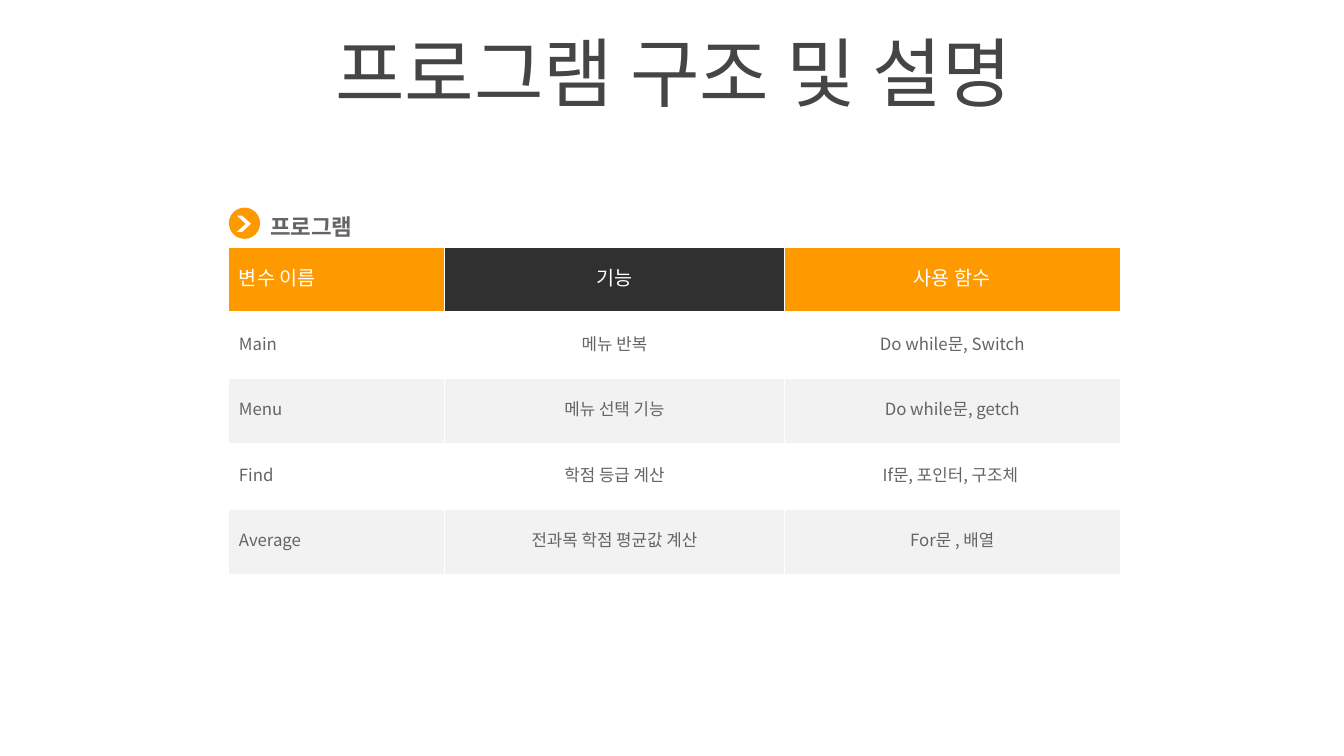
from dataclasses import dataclass

from lxml.etree import SubElement
from pptx import Presentation
from pptx.dml.color import RGBColor
from pptx.enum.shapes import MSO_SHAPE
from pptx.enum.text import MSO_ANCHOR, MSO_AUTO_SIZE, PP_ALIGN
from pptx.oxml import parse_xml
from pptx.oxml.ns import nsdecls, qn
from pptx.util import Inches, Pt


@dataclass(frozen=True)
class Theme:
    font: str = "Noto Sans CJK KR"
    title: str = "454545"
    text: str = "646464"
    orange: str = "FE9900"
    dark: str = "303030"
    band: str = "F2F2F2"
    white: str = "FFFFFF"
    title_size: int = 54
    label_size: int = 16
    head_size: int = 14
    cell_size: int = 12


theme = Theme()


def add_text(para, text, size, color, bold=False):
    """Add one run, with the theme font for Latin and Korean letters."""
    run = para.add_run()
    run.text = text
    font = run.font
    font.name = theme.font
    font.size = Pt(size)
    font.bold = bold
    font.color.rgb = RGBColor.from_string(color)
    SubElement(run._r.get_or_add_rPr(), qn("a:ea"), typeface=theme.font)


def add_border(cell, side, width):
    """Draw one white cell edge; edges must come before the cell fill."""
    props = cell._tc.get_or_add_tcPr()
    edge = parse_xml(
        f'<a:ln{side} {nsdecls("a")} w="{Pt(width)}"><a:solidFill>'
        f'<a:srgbClr val="{theme.white}"/></a:solidFill></a:ln{side}>')
    props.insert(len(props.findall("*")) - 1, edge)


deck = Presentation()
deck.slide_width = Inches(13.33)
deck.slide_height = Inches(7.5)
slide = deck.slides.add_slide(deck.slide_layouts[5])

# Title
title = slide.shapes.title
title.left, title.top = Inches(0.35), Inches(0.37)
title.width, title.height = Inches(12.66), Inches(0.79)
frame = title.text_frame
frame.auto_size = MSO_AUTO_SIZE.NONE
frame.vertical_anchor = MSO_ANCHOR.MIDDLE
para = frame.paragraphs[0]
para.alignment = PP_ALIGN.CENTER
para.line_spacing = 0.9
para.space_before = Pt(10)
add_text(para, "프로그램 구조 및 설명", theme.title_size, theme.title)

# Function table
rows = [
    ("변수 이름", "기능", "사용 함수"),
    ("Main", "메뉴 반복", "Do while문, Switch"),
    ("Menu", "메뉴 선택 기능", "Do while문, getch"),
    ("Find", "학점 등급 계산", "If문, 포인터, 구조체 "),
    ("Average", "전과목 학점 평균값 계산", "For문 , 배열"),
]
widths = [2.14, 3.37, 3.33]
head_fills = [theme.orange, theme.dark, theme.orange]
table = slide.shapes.add_table(
    len(rows), len(widths), Inches(2.27), Inches(2.45),
    Inches(sum(widths)), Inches(3.25)).table
for column, width in zip(table.columns, widths):
    column.width = Inches(width)

for r, row in enumerate(rows):
    table.rows[r].height = Inches(0.65)
    head = r == 0
    size = theme.head_size if head else theme.cell_size
    color = theme.white if head else theme.text
    for c, text in enumerate(row):
        cell = table.cell(r, c)
        cell.vertical_anchor = MSO_ANCHOR.MIDDLE
        cell.margin_left = cell.margin_right = Inches(0.1)
        cell.margin_top, cell.margin_bottom = 0, Inches(0.05)
        band = theme.white if r % 2 else theme.band
        cell.fill.solid()
        cell.fill.fore_color.rgb = RGBColor.from_string(
            head_fills[c] if head else band)
        for side in "LRTB":
            thick = (head and side == "B") or (r == 1 and side == "T")
            add_border(cell, side, 3 if thick else 1)
        para = cell.text_frame.paragraphs[0]
        para.alignment = PP_ALIGN.CENTER if c else PP_ALIGN.LEFT
        add_text(para, text, size, color)

# Table label
label = slide.shapes.add_textbox(
    Inches(2.58), Inches(2.06), Inches(2.78), Inches(0.37))
frame = label.text_frame
frame.word_wrap = True
frame.auto_size = MSO_AUTO_SIZE.SHAPE_TO_FIT_TEXT
frame.vertical_anchor = MSO_ANCHOR.MIDDLE
add_text(frame.paragraphs[0], "프로그램", theme.label_size, theme.text, True)

# Round arrow icon
icon = slide.shapes.add_group_shape()
parts = [
    (MSO_SHAPE.OVAL, 2.27, 2.06, 0.31, 0.31, theme.orange),
    (MSO_SHAPE.CHEVRON, 2.35, 2.14, 0.14, 0.16, theme.white),
]
for kind, left, top, width, height, color in parts:
    part = icon.shapes.add_shape(
        kind, Inches(left), Inches(top), Inches(width), Inches(height))
    part.shadow.inherit = False
    part.fill.solid()
    part.fill.fore_color.rgb = RGBColor.from_string(color)
    part.line.fill.background()
    if kind == MSO_SHAPE.CHEVRON:
        part.adjustments[0] = 0.624

deck.save("out.pptx")
